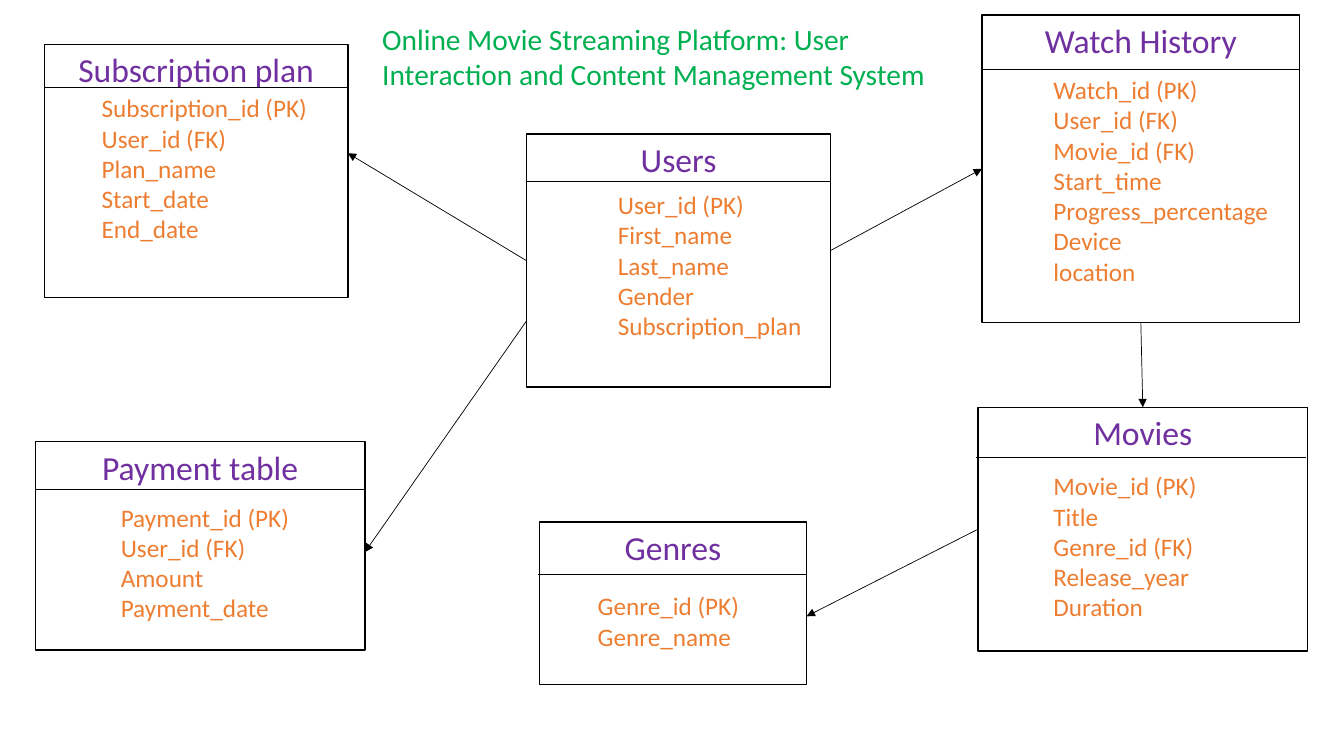
from dataclasses import dataclass

from lxml.etree import SubElement
from pptx import Presentation
from pptx.dml.color import RGBColor
from pptx.enum.shapes import MSO_CONNECTOR, MSO_SHAPE
from pptx.enum.text import MSO_ANCHOR, MSO_AUTO_SIZE, PP_ALIGN
from pptx.oxml.ns import qn
from pptx.util import Inches, Pt


@dataclass(frozen=True)
class Theme:
    font: str = "Calibri"
    heading: RGBColor = RGBColor(0x00, 0xB0, 0x50)
    entity: RGBColor = RGBColor(0x70, 0x30, 0xA0)
    field: RGBColor = RGBColor(0xED, 0x7D, 0x31)
    line: RGBColor = RGBColor(0x00, 0x00, 0x00)
    fill: RGBColor = RGBColor(0xFF, 0xFF, 0xFF)
    heading_size: float = 21
    entity_size: float = 24
    field_size: float = 18
    border_width: float = 1
    rule_width: float = 0.5


@dataclass(frozen=True)
class Box:
    left: float
    top: float
    width: float
    height: float

    def inches(self):
        return [Inches(value) for value in (self.left, self.top, self.width, self.height)]

    def point(self, side, fraction):
        across, down = {
            "left": (0, fraction),
            "right": (1, fraction),
            "top": (fraction, 0),
            "bottom": (fraction, 1),
        }[side]
        return self.left + across * self.width, self.top + down * self.height


@dataclass(frozen=True)
class Entity:
    box: Box
    rule_drop: float
    fields_offset: tuple
    fields_size: tuple
    fields: tuple
    rule_shift: float = 0


THEME = Theme()
HEADING = "Online Movie Streaming Platform: User Interaction and Content Management System"

ENTITIES = {
    "Users": Entity(
        Box(5.22, 1.33, 3.02, 2.51), 0.47, (0.81, 0.5), (2.77, 1.92),
        ("User_id (PK)", "First_name", "Last_name", "Gender", "Subscription_plan")),
    "Movies": Entity(
        Box(9.7, 4.04, 3.27, 2.42), 0.5, (0.65, 0.58), (2.9, 1.62),
        ("Movie_id (PK)", "Title", "Genre_id (FK)", "Release_year", "Duration"), -0.02),
    "Genres": Entity(
        Box(5.35, 5.18, 2.65, 1.61), 0.52, (0.48, 0.63), (2.98, 0.71),
        ("Genre_id (PK)", "Genre_name"), -0.01),
    "Subscription plan": Entity(
        Box(0.44, 0.44, 3.01, 2.51), 0.43, (0.47, 0.43), (2.77, 1.62),
        ("Subscription_id (PK)", "User_id (FK)", "Plan_name", "Start_date", "End_date")),
    "Payment table": Entity(
        Box(0.35, 4.38, 3.27, 2.07), 0.47, (0.75, 0.55), (3.04, 1.31),
        ("Payment_id (PK)", "User_id (FK)", "Amount", "Payment_date")),
    "Watch History": Entity(
        Box(9.74, 0.15, 3.15, 3.05), 0.54, (0.61, 0.54), (2.85, 2.22),
        ("Watch_id (PK)", "User_id (FK)", "Movie_id (FK)", "Start_time",
         "Progress_percentage", "Device", "location")),
}

RELATIONS = (
    ("Users", "left", 0.5, "Subscription plan", "right", 0.43),
    ("Users", "left", 0.74, "Payment table", "right", 0.53),
    ("Users", "right", 0.46, "Watch History", "left", 0.5),
    ("Movies", "left", 0.5, "Genres", "right", 0.58),
    ("Watch History", "bottom", 0.5, "Movies", "top", 0.5),
)


def write_text(shape, lines, *, size, color, align=PP_ALIGN.LEFT):
    frame = shape.text_frame
    frame.word_wrap = True
    frame.auto_size = MSO_AUTO_SIZE.NONE
    frame.vertical_anchor = MSO_ANCHOR.TOP
    frame.text = "\n".join(lines)
    for paragraph in frame.paragraphs:
        paragraph.alignment = align
        font = paragraph.runs[0].font
        font.name = THEME.font
        font.size = Pt(size)
        font.color.rgb = color


def add_line(slide, start, end, arrow=False):
    connector = slide.shapes.add_connector(
        MSO_CONNECTOR.STRAIGHT, *(Inches(value) for value in (*start, *end)))
    connector.line.color.rgb = THEME.line
    connector.line.width = Pt(THEME.rule_width)
    if arrow:
        line = connector.line._get_or_add_ln()
        SubElement(line, qn("a:tailEnd"), type="triangle")
    SubElement(connector._element.spPr, qn("a:effectLst"))


def add_heading(slide, box):
    title = slide.shapes.title
    title.left, title.top, title.width, title.height = box.inches()
    write_text(title, [HEADING], size=THEME.heading_size, color=THEME.heading)


def add_entity(slide, name, entity):
    box = entity.box
    frame = slide.shapes.add_shape(MSO_SHAPE.RECTANGLE, *box.inches())
    frame.shadow.inherit = False
    frame.fill.solid()
    frame.fill.fore_color.rgb = THEME.fill
    frame.line.color.rgb = THEME.line
    frame.line.width = Pt(THEME.border_width)
    write_text(frame, [name], size=THEME.entity_size, color=THEME.entity,
               align=PP_ALIGN.CENTER)

    rule_left = box.left + entity.rule_shift
    rule_top = box.top + entity.rule_drop
    add_line(slide, (rule_left, rule_top), (rule_left + box.width, rule_top))

    right, down = entity.fields_offset
    fields_box = Box(box.left + right, box.top + down, *entity.fields_size)
    fields = slide.shapes.add_textbox(*fields_box.inches())
    write_text(fields, entity.fields, size=THEME.field_size, color=THEME.field)


def add_relation(slide, source, source_side, source_at, target, target_side, target_at):
    add_line(slide,
             ENTITIES[source].box.point(source_side, source_at),
             ENTITIES[target].box.point(target_side, target_at),
             arrow=True)


def main():
    presentation = Presentation()
    presentation.slide_width = Inches(13.33)
    presentation.slide_height = Inches(7.5)
    slide = presentation.slides.add_slide(presentation.slide_layouts.get_by_name("Title Only"))
    add_heading(slide, Box(3.69, 0.16, 5.82, 0.81))
    for name, entity in ENTITIES.items():
        add_entity(slide, name, entity)
    for relation in RELATIONS:
        add_relation(slide, *relation)
    presentation.save("out.pptx")


if __name__ == "__main__":
    main()
